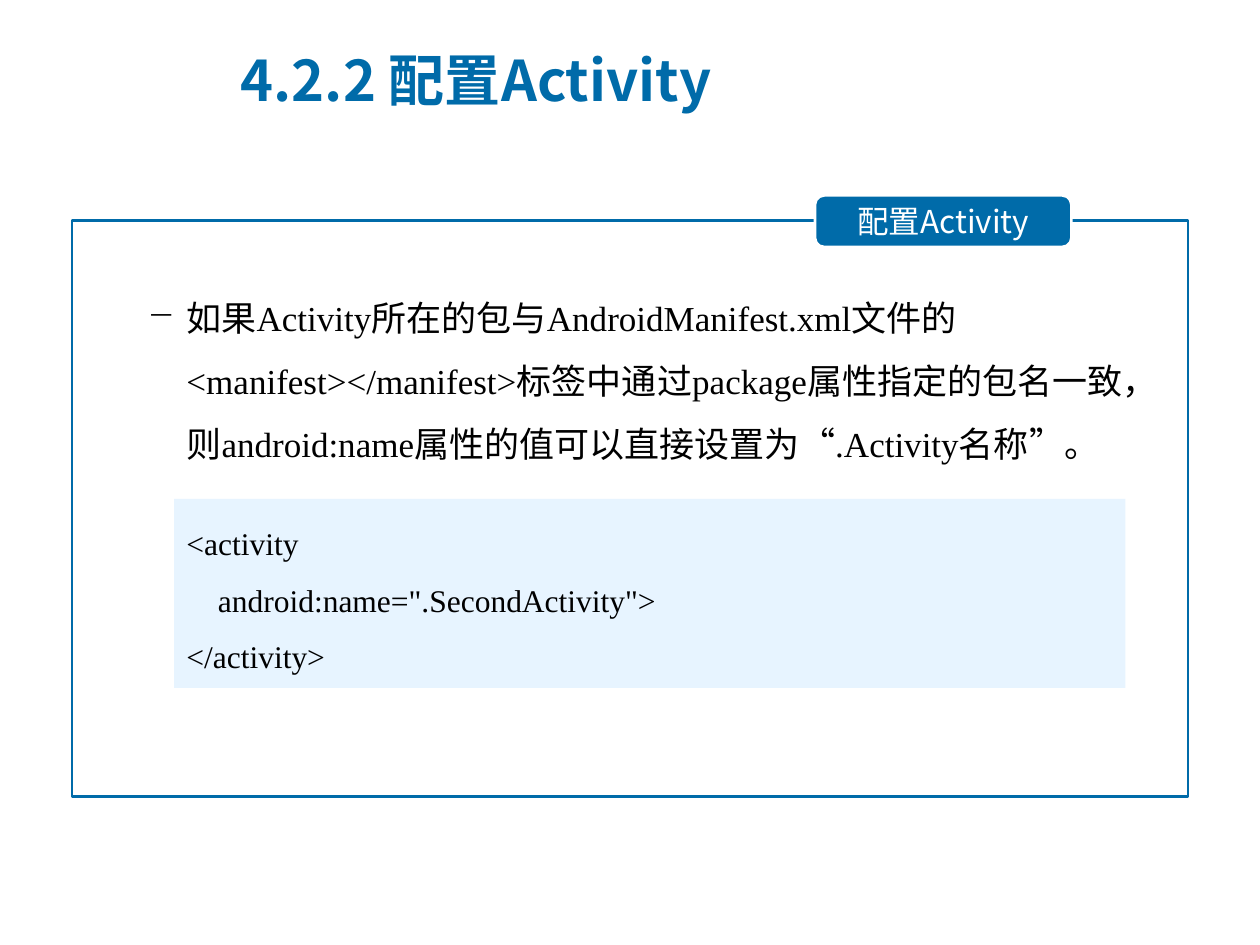
from dataclasses import dataclass

from lxml import etree
from pptx import Presentation
from pptx.dml.color import RGBColor
from pptx.enum.shapes import MSO_SHAPE
from pptx.enum.text import MSO_ANCHOR, PP_ALIGN
from pptx.oxml.ns import qn
from pptx.util import Cm, Pt

RECTANGLE = MSO_SHAPE.RECTANGLE
ROUNDED = MSO_SHAPE.ROUNDED_RECTANGLE
LEFT, CENTER = PP_ALIGN.LEFT, PP_ALIGN.CENTER
TOP, MIDDLE = MSO_ANCHOR.TOP, MSO_ANCHOR.MIDDLE

BLUE, PALE_BLUE, WHITE, BLACK = "006BA9", "E7F4FF", "FFFFFF", "000000"
SANS, SERIF, BODY = "Noto Sans CJK SC", "Times New Roman", "Calibri"

EXPLANATION = [
    ("如果", BODY),
    ("Activity", SERIF),
    ("所在的包与", BODY),
    ("AndroidManifest.xml", SERIF),
    ("文件的", BODY),
    ("<manifest></manifest>", SERIF),
    ("标签中通过", BODY),
    ("package属性指定的包名一致，则android:name属性的值可以直接设置为", SERIF),
    ("“", BODY),
    (".Activity", SERIF),
    ("名称”。", BODY),
]
CODE_LINES = [
    "<activity",
    '    android:name=".SecondActivity">',
    "</activity>",
]


@dataclass(frozen=True)
class Box:
    """Position and size in centimetres."""
    left: float
    top: float
    width: float
    height: float

    def lengths(self) -> tuple:
        return Cm(self.left), Cm(self.top), Cm(self.width), Cm(self.height)


def color(value: str) -> RGBColor:
    return RGBColor.from_string(value)


def add_panel(slide, box: Box, kind=RECTANGLE, fill: str = "", line: str = ""):
    shape = slide.shapes.add_shape(kind, *box.lengths())
    shape.shadow.inherit = False
    if fill:
        shape.fill.solid()
        shape.fill.fore_color.rgb = color(fill)
    else:
        shape.fill.background()
    if line:
        shape.line.color.rgb = color(line)
        shape.line.width = Pt(1.5)
    else:
        shape.line.fill.background()
    return shape


def write(shape, paragraphs: list, *, size: float, text_color: str = BLACK,
          bold: bool = False, align=LEFT, anchor=TOP, spacing: float = 1.0,
          hanging: tuple = (), bullet: str = "") -> None:
    """Fill a shape with paragraphs, each a list of (text, font) runs."""
    frame = shape.text_frame
    frame.word_wrap = True
    frame.vertical_anchor = anchor
    for index, runs in enumerate(paragraphs):
        paragraph = frame.add_paragraph() if index else frame.paragraphs[0]
        properties = paragraph._p.get_or_add_pPr()
        if hanging:
            margin, indent = hanging
            properties.set("marL", str(Cm(margin)))
            properties.set("indent", str(-Cm(indent)))
        if bullet:
            etree.SubElement(properties, qn("a:buChar")).set("char", bullet)
        paragraph.alignment = align
        paragraph.line_spacing = spacing
        for text, font_name in runs:
            run = paragraph.add_run()
            run.text = text
            run.font.name = font_name
            run.font.size = Pt(size)
            run.font.bold = bold
            run.font.color.rgb = color(text_color)
            if font_name == SANS:
                east_asian = etree.SubElement(run._r.get_or_add_rPr(), qn("a:ea"))
                east_asian.set("typeface", font_name)


def main() -> None:
    presentation = Presentation()
    presentation.slide_width, presentation.slide_height = Cm(25.4), Cm(19.05)
    slide = presentation.slides.add_slide(presentation.slide_layouts[6])

    explanation = slide.shapes.add_textbox(*Box(1.45, 5.42, 22.38, 3.2).lengths())
    write(explanation, [EXPLANATION], size=20, spacing=1.5,
          hanging=(2.06, 0.79), bullet="−")

    add_panel(slide, Box(1.45, 4.45, 22.5, 11.61), line=BLUE)

    tag = add_panel(slide, Box(16.43, 3.94, 5.17, 1.04), ROUNDED, BLUE, WHITE)
    tag.adjustments[0] = 0.18
    frame = tag.text_frame
    frame.margin_left = frame.margin_right = Cm(0.61)
    frame.margin_top = frame.margin_bottom = Cm(0.15)
    write(tag, [[("配置Activity", SANS)]], size=18, text_color=WHITE,
          align=CENTER, anchor=MIDDLE)

    title = slide.shapes.add_textbox(*Box(4.6, 0.53, 14.3, 2.13).lengths())
    write(title, [[("4.2.2 配置Activity", SANS)]], size=32, text_color=BLUE,
          bold=True, anchor=MIDDLE, hanging=(1.57, 1.57))

    code = add_panel(slide, Box(3.51, 10.06, 19.18, 3.81), fill=PALE_BLUE)
    write(code, [[(line, SERIF)] for line in CODE_LINES], size=18, spacing=1.5)

    presentation.save("out.pptx")


if __name__ == "__main__":
    main()
